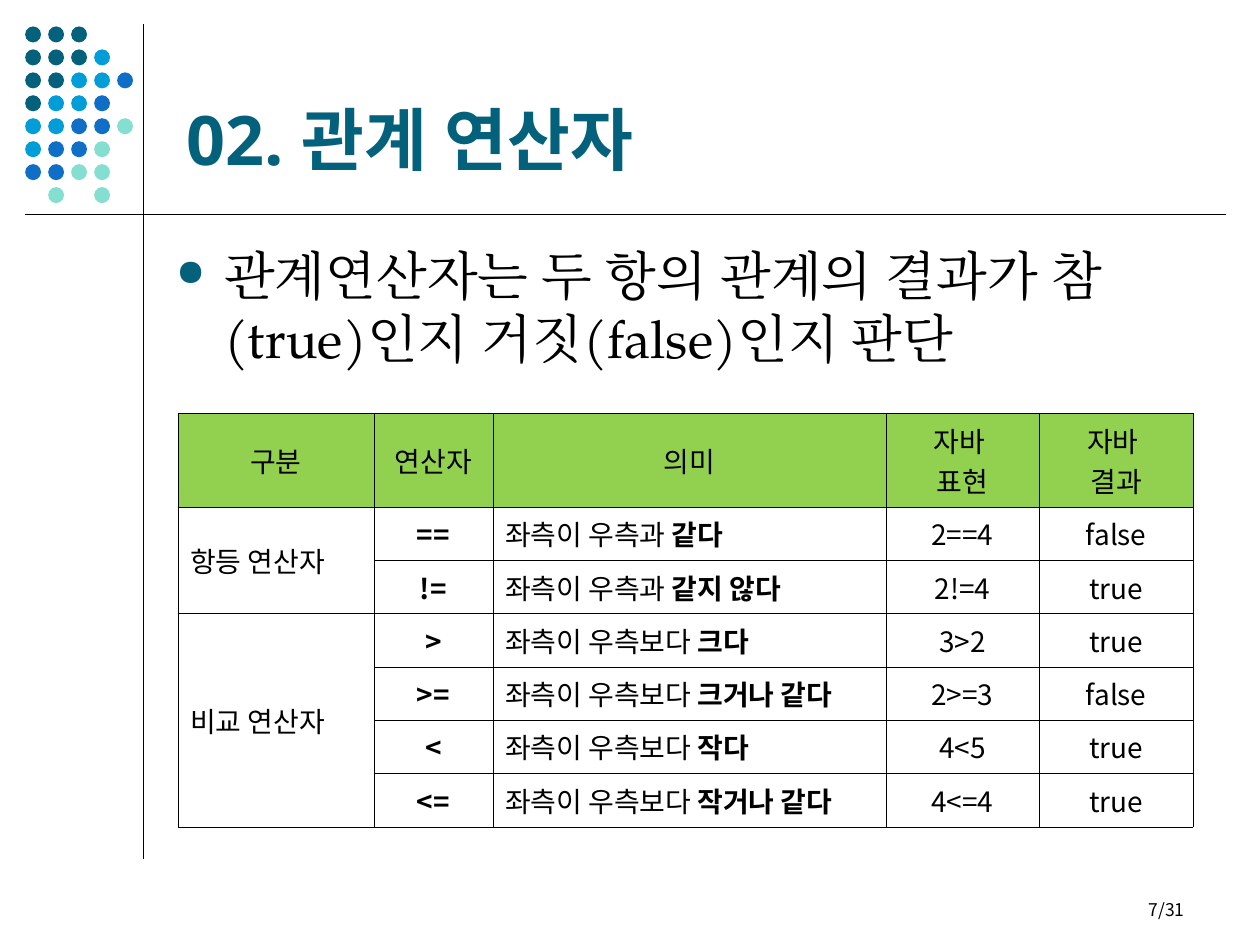
from lxml import etree
from pptx import Presentation
from pptx.dml.color import RGBColor
from pptx.enum import shapes, text
from pptx.oxml import ns
from pptx.util import Pt

HUE = {"T": "04617B", "S": "009DD9", "B": "0F6FC6", "M": "85DFD0",
       "ink": "000000", "head": "92D050"}
KIT = {
    "title": {"name": "Noto Sans", "size": Pt(39), "bold": True},
    "body": {"name": "TeX Gyre Pagella", "size": Pt(30)},
    "cell": {"name": "Noto Sans CJK KR", "size": Pt(16)},
    "page": {"name": "Noto Sans CJK KR", "size": Pt(10)},
}
FRAME = {"word_wrap": True, "auto_size": text.MSO_AUTO_SIZE.NONE}
ALIGN = text.PP_ALIGN
ANCHOR = text.MSO_ANCHOR

deck = Presentation()
deck.slide_width, deck.slide_height = Pt(720), Pt(540)


def share(*nums):
    sides = (deck.slide_width, deck.slide_height)
    return [round(n * sides[i % 2] / 100) for i, n in enumerate(nums)]


def ink(para, words, kit, hue="ink"):
    for i, part in enumerate(words.split("|")):
        if part:
            run = para.add_run()
            run.text = part
            for key, val in KIT[kit].items():
                setattr(run.font, key, val)
            if i:
                run.font.bold = True
            run.font.color.rgb = RGBColor.from_string(HUE[hue])
            etree.SubElement(run.font._element, ns.qn("a:ea"), typeface=KIT[kit]["name"])


slide = deck.slides.add_slide(deck.slide_layouts[5])
pool = slide.shapes

for ends in [(11.4, 2.53, 11.4, 90.93), (2, 22.67, 97.3, 22.67)]:
    line = pool.add_connector(shapes.MSO_CONNECTOR.STRAIGHT, *share(*ends))
    line.line.width = Pt(0.75)
    line.line.color.rgb = RGBColor.from_string(HUE["ink"])
    etree.SubElement(line._element.spPr, ns.qn("a:effectLst"))

dots = ["TTT", "TTTS", "TTSSB", "TSSB", "SSBBM", "SBBM", "BBMM", " M M"]
for row, keys in enumerate(dots):
    for col, key in enumerate(keys):
        if key != " ":
            spot = share(2 + 7.3 * col / 4, 2.8 + 17 * row / 7, 1.26, 1.7)
            dot = pool.add_shape(shapes.MSO_SHAPE.OVAL, *spot)
            dot.shadow.inherit = False
            dot.fill.solid()
            dot.fill.fore_color.rgb = RGBColor.from_string(HUE[key])
            dot.line.fill.background()

title = pool.title
body = pool.add_textbox(*share(13, 25.07, 82, 64.27))
page = pool.add_textbox(*share(71.7, 94.8, 23.3, 2.93))
spot = share(13.8, 2.8, 82.5, 16.8)
for key, val in zip(("left", "top", "width", "height"), spot):
    setattr(title, key, val)

blocks = [
    (title, "02. 관계 연산자", "title", "T", ANCHOR.BOTTOM, ALIGN.LEFT),
    (body, "관계연산자는 두 항의 관계의 결과가 참(true)인지 거짓(false)인지 판단",
     "body", "ink", ANCHOR.TOP, ALIGN.LEFT),
    (page, "7/31", "page", "ink", ANCHOR.MIDDLE, ALIGN.RIGHT),
]
for box, words, kit, hue, anchor, align in blocks:
    frame = box.text_frame
    for key, val in {**FRAME, "vertical_anchor": anchor}.items():
        setattr(frame, key, val)
    para = frame.paragraphs[0]
    para.alignment = align
    ink(para, words, kit, hue)

props = body.text_frame.paragraphs[0]._p.get_or_add_pPr()
indent = share(3.8)[0]
props.set("marL", str(indent))
props.set("indent", str(-indent))
tint = etree.SubElement(props, ns.qn("a:buClr"))
etree.SubElement(tint, ns.qn("a:srgbClr"), val=HUE["T"])
etree.SubElement(props, ns.qn("a:buSzPct"), val="70000")
etree.SubElement(props, ns.qn("a:buChar"), char="●")

rows = [
    ("구분", "연산자", "의미", "자바 \n표현", "자바 \n결과"),
    ("항등 연산자", "|==", "좌측이 우측과 |같다", "2==4", "false"),
    ("", "|!=", "좌측이 우측과 |같지 않다", "2!=4", "true"),
    ("비교 연산자", "|>", "좌측이 우측보다 |크다", "3>2", "true"),
    ("", "|>=", "좌측이 우측보다 |크거나 같다", "2>=3", "false"),
    ("", "|<", "좌측이 우측보다 |작다", "4<5", "true"),
    ("", "|<=", "좌측이 우측보다 |작거나 같다", "4<=4", "true"),
]
aligns = [ALIGN.JUSTIFY, ALIGN.CENTER, ALIGN.LEFT, ALIGN.CENTER, ALIGN.CENTER]
grid = pool.add_table(len(rows), len(aligns), *share(14.1, 43.73, 80.6, 43.76)).table
grid.first_row = grid.horz_banding = False
for col, wide in zip(grid.columns, (15.6, 9.4, 31.2, 12.2, 12.2)):
    col.width = share(wide)[0]
for i, band in enumerate(grid.rows):
    band.height = share(0, 5.64 if i else 9.92)[1]

for r, row in enumerate(rows):
    for c, words in enumerate(row):
        cell = grid.cell(r, c)
        cell.vertical_anchor = ANCHOR.MIDDLE
        for side in ("lnL", "lnR", "lnT", "lnB"):
            edge = etree.SubElement(cell._tc.get_or_add_tcPr(), ns.qn("a:" + side),
                                    w=str(Pt(0.06)))
            fill = etree.SubElement(edge, ns.qn("a:solidFill"))
            etree.SubElement(fill, ns.qn("a:srgbClr"), val=HUE["ink"])
        if r:
            cell.fill.background()
        else:
            cell.fill.solid()
            cell.fill.fore_color.rgb = RGBColor.from_string(HUE["head"])
        frame = cell.text_frame
        for i, part in enumerate(words.split("\n")):
            para = frame.add_paragraph() if i else frame.paragraphs[0]
            para.alignment = aligns[c] if r else ALIGN.CENTER
            ink(para, part, "cell")

for top, end in ((1, 2), (3, 6)):
    grid.cell(top, 0).merge(grid.cell(end, 0))

deck.save("out.pptx")
